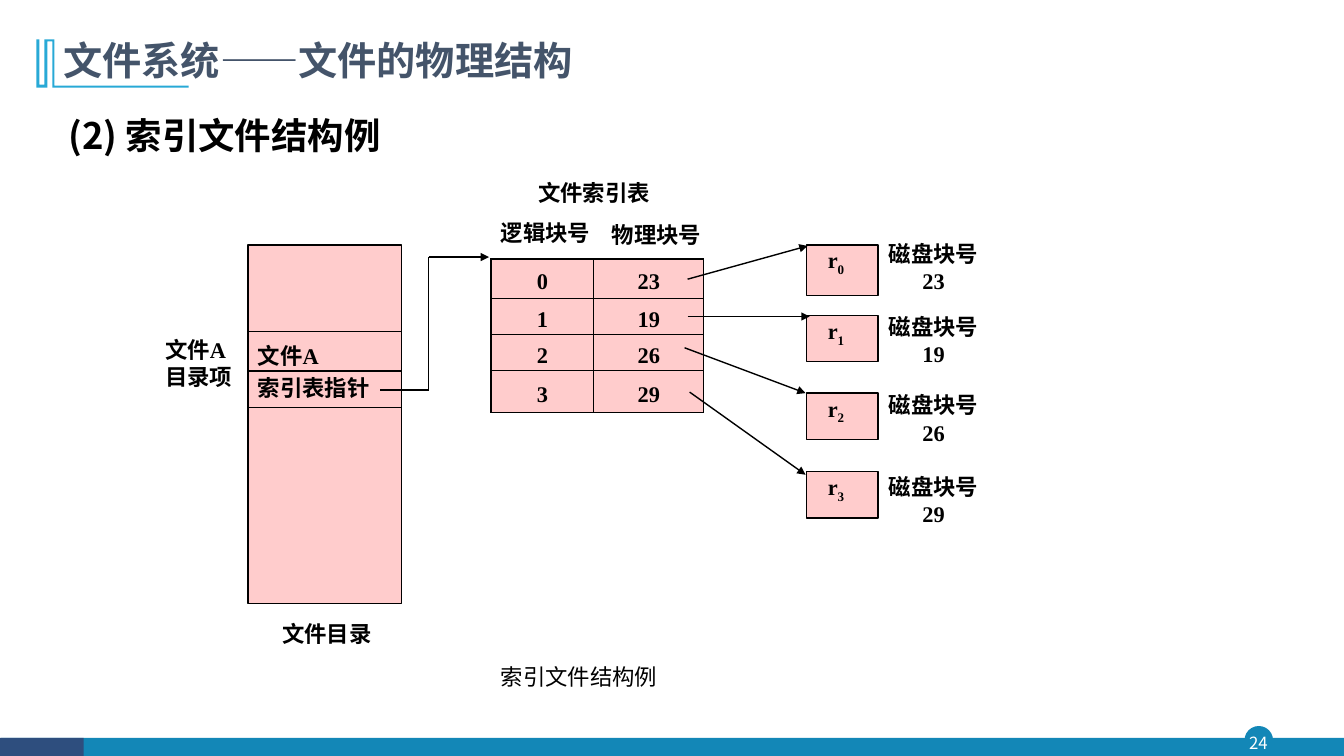
"""Builds the slide on the index file structure."""
from dataclasses import dataclass

import lxml.etree
import pptx
import pptx.dml.color
import pptx.enum.shapes
import pptx.enum.text
import pptx.oxml.ns
import pptx.util

Inches = pptx.util.Inches
Pt = pptx.util.Pt
RGBColor = pptx.dml.color.RGBColor
Shape = pptx.enum.shapes.MSO_SHAPE
Align = pptx.enum.text.PP_ALIGN
Anchor = pptx.enum.text.MSO_ANCHOR
qn = pptx.oxml.ns.qn

BLACK = RGBColor(0x00, 0x00, 0x00)
WHITE = RGBColor(0xFF, 0xFF, 0xFF)
PINK = RGBColor(0xFF, 0xCC, 0xCC)
SLATE = RGBColor(0x44, 0x54, 0x6A)
TEAL = RGBColor(0x13, 0x87, 0xB7)
NAVY = RGBColor(0x2E, 0x4E, 0x7E)
SKY = RGBColor(0x28, 0xA9, 0xD6)
SANS = "Noto Sans CJK SC"
SERIF = "Times New Roman"
LINE_PITCH = Pt(19.5)


@dataclass
class Label:
    text: str
    left: float
    top: float
    width: float
    height: float
    font: str = SERIF
    size: float = 16
    bold: bool = True
    color: RGBColor = BLACK
    align: Align = Align.LEFT
    spacing: float = LINE_PITCH
    inset: float = 0.1


@dataclass
class Stroke:
    start: tuple[float, float]
    end: tuple[float, float]
    arrow: bool = False


@dataclass
class DiskBlock:
    number: int
    top: float
    height: float
    label_top: float
    arrow: Stroke


DISK_BLOCKS = [
    DiskBlock(23, 2.43, 0.5, 2.33, Stroke((6.82, 2.77), (8.01, 2.44), True)),
    DiskBlock(19, 3.13, 0.46, 3.05, Stroke((6.82, 3.14), (8.03, 3.14), True)),
    DiskBlock(26, 3.9, 0.46, 3.83, Stroke((6.79, 3.45), (7.99, 3.9), True)),
    DiskBlock(29, 4.68, 0.46, 4.64, Stroke((6.84, 3.89), (7.99, 4.71), True)),
]
POINTER_STROKES = [
    Stroke((3.77, 3.87), (4.25, 3.87)),
    Stroke((4.25, 3.87), (4.25, 2.55)),
    Stroke((4.25, 2.55), (4.85, 2.55), True),
]
DIRECTORY_LINES = [Stroke((2.46, y), (3.98, y)) for y in (3.29, 3.68, 4.04)]
LABELS = [
    Label("(2) 索引文件结构例", 0.58, 1.07, 7.65, 0.62, SANS, 26, spacing=1.0),
    Label("文件A\n索引表指针", 2.46, 3.29, 1.52, 0.75, spacing=Pt(23)),
    Label("文件A\n目录项", 1.54, 3.28, 1.04, 0.69),
    Label("文件目录", 2.7, 6.1, 1.28, 0.43),
    Label("文件索引表", 5.24, 1.72, 1.6, 0.43),
    Label("逻辑块号", 4.87, 2.12, 1.15, 0.43, "Arial"),
    Label("物理块号", 5.97, 2.14, 1.15, 0.43, "Arial"),
    Label("索引文件结构例", 4.87, 6.53, 1.85, 0.37, bold=False),
]
TITLE_MARK = [
    (54, 39), (54, 85), (187, 85), (187, 87), (52, 87), (52, 41), (47, 41), (47, 87),
    (36, 87), (36, 39), (39, 39), (39, 84), (44, 84), (44, 39),
]


def style_text(frame, label: Label) -> None:
    frame.word_wrap = True
    frame.auto_size = pptx.enum.text.MSO_AUTO_SIZE.NONE
    frame.margin_left = frame.margin_right = Inches(label.inset)
    frame.text = label.text
    for para in frame.paragraphs:
        para.alignment = label.align
        para.line_spacing = label.spacing
        for span in para.runs:
            span.font.name = label.font
            span.font.size = Pt(label.size)
            span.font.bold = label.bold
            span.font.color.rgb = label.color
            if label.font == SANS:
                latin = span.font._element.find(qn("a:latin"))
                east_asian = lxml.etree.Element(qn("a:ea"), typeface=SANS)
                latin.addnext(east_asian)


def add_label(page, label: Label):
    box = page.shapes.add_textbox(
        Inches(label.left), Inches(label.top), Inches(label.width), Inches(label.height))
    style_text(box.text_frame, label)
    return box


def add_block(page, kind: Shape, left: float, top: float, width: float, height: float,
              fill: RGBColor, outline: RGBColor | None = None):
    block = page.shapes.add_shape(kind, Inches(left), Inches(top), Inches(width), Inches(height))
    block.shadow.inherit = False
    block.fill.solid()
    block.fill.fore_color.rgb = fill
    if outline is None:
        block.line.fill.background()
    else:
        block.line.color.rgb = outline
        block.line.width = Pt(1)
    return block


def add_stroke(page, stroke: Stroke) -> None:
    points = [Inches(value) for value in (*stroke.start, *stroke.end)]
    line = page.shapes.add_connector(pptx.enum.shapes.MSO_CONNECTOR.STRAIGHT, *points)
    line.line.color.rgb = BLACK
    line.line.width = Pt(1)
    properties = line._element.spPr
    if stroke.arrow:
        lxml.etree.SubElement(properties.find(qn("a:ln")), qn("a:tailEnd"), type="triangle")
    lxml.etree.SubElement(properties, qn("a:effectLst"))


def add_cell_borders(cell) -> None:
    properties = cell._tc.get_or_add_tcPr()
    for position, side in enumerate(("lnL", "lnR", "lnT", "lnB")):
        border = lxml.etree.Element(qn(f"a:{side}"), w=str(Pt(1)))
        fill = lxml.etree.SubElement(border, qn("a:solidFill"))
        lxml.etree.SubElement(fill, qn("a:srgbClr"), val=str(BLACK))
        properties.insert(position, border)


def add_index_table(page) -> None:
    frame = page.shapes.add_table(
        len(DISK_BLOCKS), 2, Inches(4.87), Inches(2.57), Inches(2.11), Inches(1.52))
    table = frame.table
    table.first_row = table.horz_banding = False
    for column, width in zip(table.columns, (1.02, 1.09)):
        column.width = Inches(width)
    for row, height in zip(table.rows, (0.39, 0.36, 0.36, 0.41)):
        row.height = Inches(height)
    for index, block in enumerate(DISK_BLOCKS):
        for column, number in enumerate((index, block.number)):
            cell = table.cell(index, column)
            cell.fill.solid()
            cell.fill.fore_color.rgb = PINK
            cell.margin_top, cell.margin_bottom = Inches(0.06), 0
            cell.vertical_anchor = Anchor.MIDDLE
            cell.text = str(number)
            para = cell.text_frame.paragraphs[0]
            para.alignment = Align.CENTER
            font = para.runs[0].font
            font.name, font.size, font.bold = SERIF, Pt(16), True
            font.color.rgb = BLACK
            add_cell_borders(cell)


def add_disk_block(page, index: int, block: DiskBlock) -> None:
    record = add_block(page, Shape.RECTANGLE, 8, block.top, 0.71, block.height, PINK, BLACK)
    style_text(record.text_frame, Label("r", 8, block.top, 0.71, block.height, inset=0.21))
    record.text_frame.margin_right = 0
    record.text_frame.vertical_anchor = Anchor.TOP
    subscript = record.text_frame.paragraphs[0].add_run()
    subscript.text = str(index)
    font = subscript.font
    font.name, font.size, font.bold = SERIF, Pt(16), True
    font.color.rgb = BLACK
    font._element.set("baseline", "-25000")
    add_label(page, Label(f"磁盘块号\n{block.number}", 8.71, block.label_top, 1.1, 0.58,
                          align=Align.CENTER, inset=0.05))
    add_stroke(page, block.arrow)


def add_frame(page) -> None:
    add_block(page, Shape.OVAL, 12.35, 7.21, 0.27, 0.27, TEAL, TEAL)
    add_block(page, Shape.RECTANGLE, 0.01, 7.32, 13.32, 0.18, TEAL)
    add_block(page, Shape.RECTANGLE, 0, 7.32, 0.83, 0.18, NAVY)
    number = add_label(page, Label("24", 12.32, 7.21, 0.32, 0.31, SANS, 12, False, WHITE,
                                   Align.CENTER, 1.0, 0))
    number.text_frame.margin_top = number.text_frame.margin_bottom = 0
    number.text_frame.vertical_anchor = Anchor.MIDDLE
    builder = page.shapes.build_freeform(*TITLE_MARK[0], scale=Inches(0.01))
    builder.add_line_segments(TITLE_MARK[1:], close=True)
    mark = builder.convert_to_shape()
    mark.shadow.inherit = False
    mark.fill.solid()
    mark.fill.fore_color.rgb = SKY
    mark.line.fill.background()
    title = page.shapes.title
    title.left, title.top = Inches(0.53), Inches(0.34)
    title.width, title.height = Inches(10.49), Inches(0.56)
    style_text(title.text_frame, Label("文件系统——文件的物理结构", 0.53, 0.34, 10.49, 0.56,
                                       SANS, 28, color=SLATE, spacing=0.9))
    title.text_frame.vertical_anchor = Anchor.MIDDLE


def main() -> None:
    deck = pptx.Presentation()
    deck.slide_width, deck.slide_height = Inches(13.33), Inches(7.5)
    page = deck.slides.add_slide(deck.slide_layouts[5])
    add_frame(page)
    add_block(page, Shape.RECTANGLE, 2.46, 2.43, 1.52, 3.56, PINK, BLACK)
    add_index_table(page)
    for stroke in DIRECTORY_LINES + POINTER_STROKES:
        add_stroke(page, stroke)
    for label in LABELS:
        add_label(page, label)
    for index, block in enumerate(DISK_BLOCKS):
        add_disk_block(page, index, block)
    deck.save("out.pptx")


if __name__ == "__main__":
    main()
